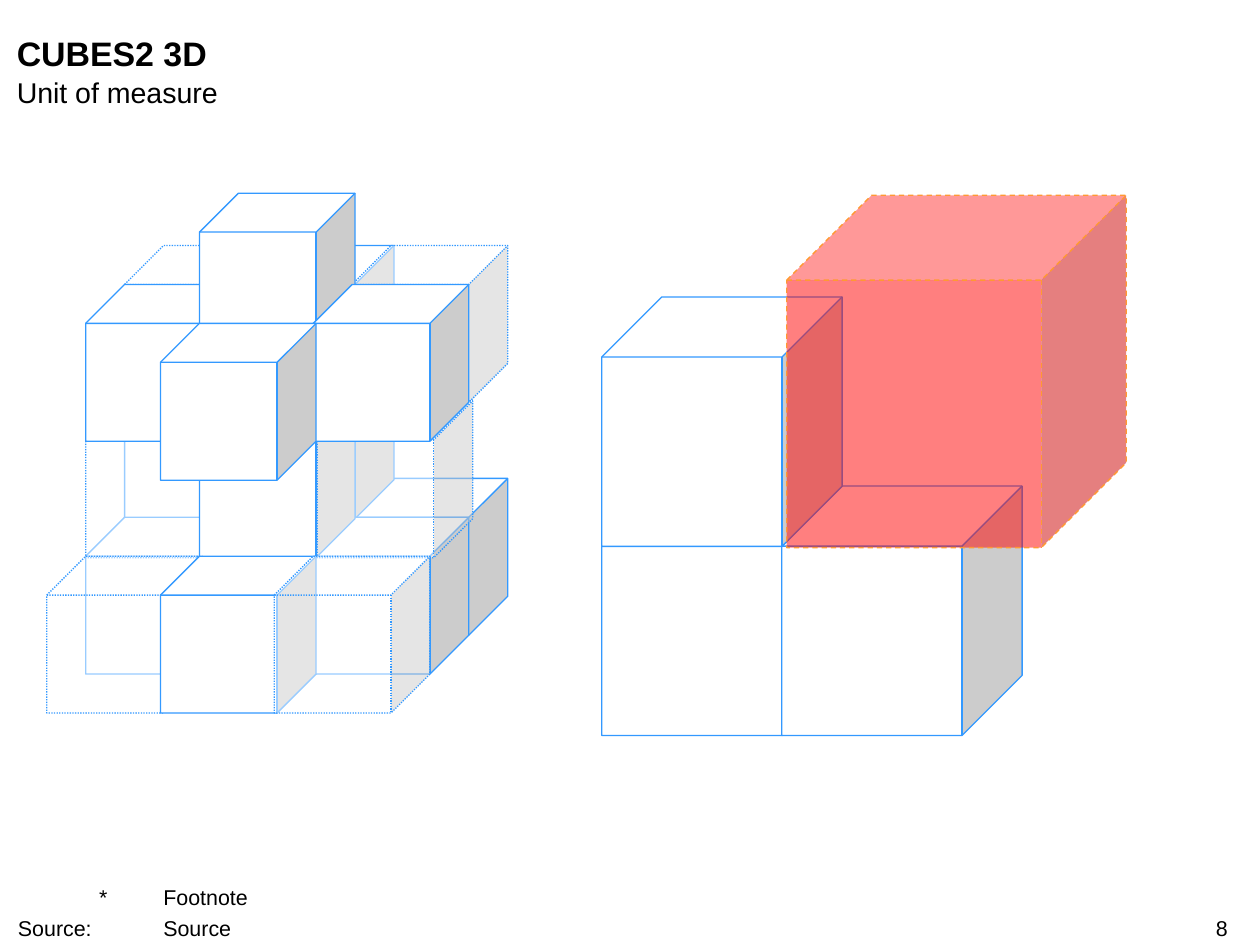
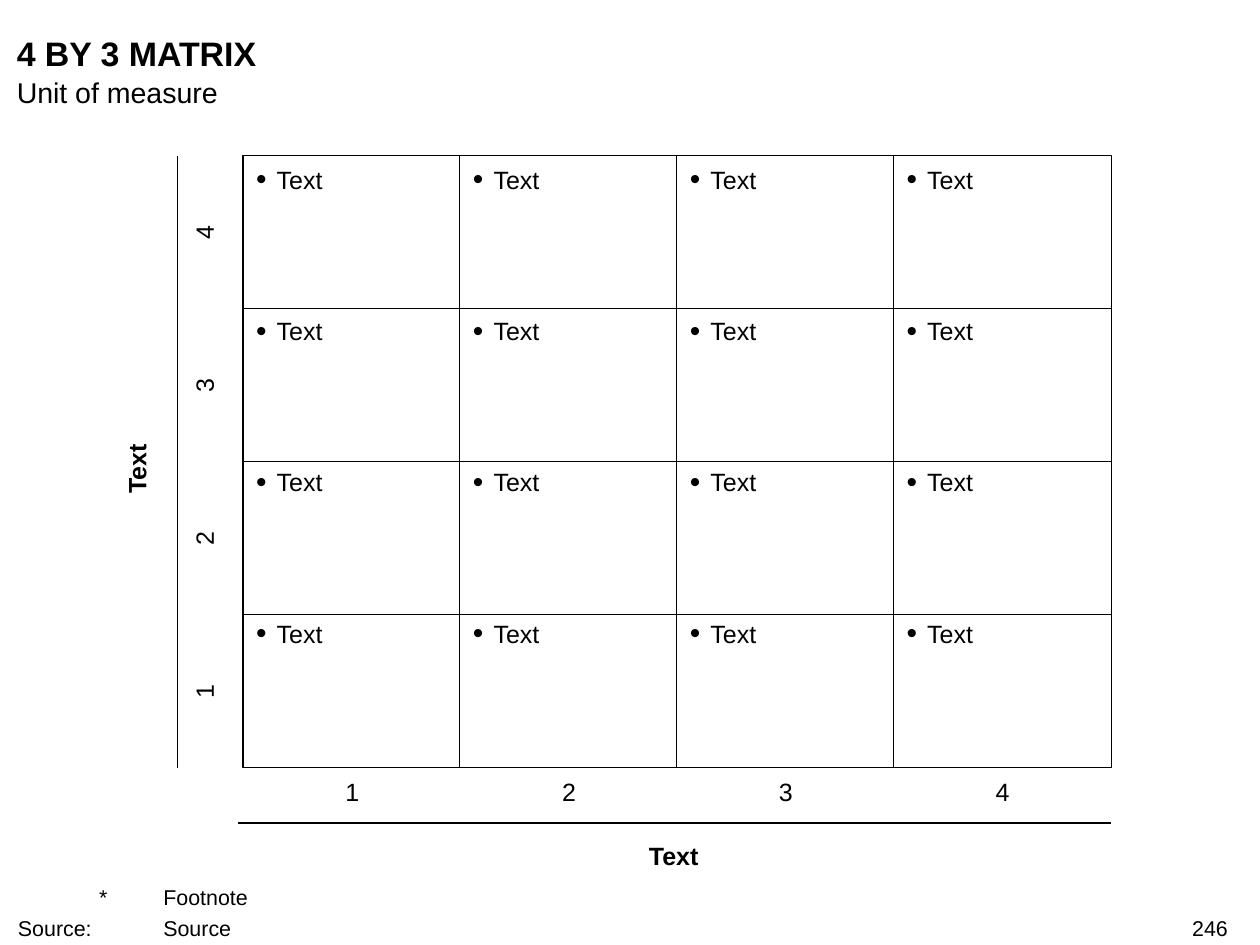
from lxml import etree
from pptx import Presentation
from pptx.dml.color import RGBColor
from pptx.enum import dml, shapes, text
from pptx.oxml import ns
from pptx.util import Pt

COLORS = {"ink": "000000", "paper": "FFFFFF", "edge": "3399FF",
          "accent": "FF0000", "accent_edge": "FF9933"}
FONT = "Arial"
SUBTITLE = "Unit of measure"
FOOTNOTES = ["\t*\tFootnote", "Source:\t\tSource"]
FOOTNOTE_TABS = [(0, "l"), (41.8, "r"), (70.6, "l"), (141.1, "l")]

SOLID = ("paper", None, "edge", None)
GHOST = ("paper", 50, "edge", dml.MSO_LINE.ROUND_DOT)
MARKED = ("accent", 50, "accent_edge", dml.MSO_LINE.DASH)
CUBE_STYLES = {"S": SOLID, "G": GHOST}

LAYERS_BACK_TO_FRONT = [
    {"bottom": "SSS", "middle": "SS.", "top": "GSG"},
    {"bottom": "SSS", "middle": "GSG", "top": "SSS"},
    {"bottom": "GSG", "top": ".S."},
]
LEVELS = ["top", "middle", "bottom"]
NUDGES = {(1, "top", 1): (0, -51.1), (1, "middle", 2): (2.2, 0)}
STACK_LEFT, STACK_TOP = 69.8, 137.5
CUBE_WIDTH, CUBE_HEIGHT = 87.1, 87.8
COLUMN_STEP, LEVEL_STEP, DEPTH_STEP = 63.7, 65.2, 21.8

CORNER_CUBES = [
    (337, 272.2, 134.6, 139.7, SOLID),
    (437.8, 272.2, 134.6, 139.7, SOLID),
    (337, 166.3, 134.6, 139.7, SOLID),
    (440.6, 109.4, 190.1, 197.3, MARKED),
]

MATRIX = [["Text"] * 4 for _ in range(4)]
COLUMN_LABELS = ["1", "2", "3", "4"]
ROW_LABELS = ["4", "3", "2", "1"]
AXIS_TITLE = "Text"
MATRIX_LEFT, MATRIX_TOP = 136.1, 87.1
CELL_WIDTH, CELL_HEIGHT = 122.4, 85.7
CELL_STEP = 121.4
LABEL_HEIGHT = 16.6
ROW_LABEL_CENTER, ROW_TITLE_CENTER = 114.1, 76.3


def rgb(name):
    return RGBColor.from_string(COLORS[name])


def add_child(parent, tag, **attributes):
    return etree.SubElement(parent, ns.qn(tag), attributes)


def style_paragraph(paragraph, size, bold=False, align=text.PP_ALIGN.LEFT):
    paragraph.alignment = align
    font = paragraph.font
    font.name, font.size, font.bold = FONT, Pt(size), bold
    font.color.rgb = rgb("ink")


def set_indent(paragraph, indent):
    properties = paragraph._p.get_or_add_pPr()
    properties.set("marL", str(Pt(indent)))
    properties.set("indent", str(-Pt(indent)))
    return properties


def set_margins(frame, left=0, top=0):
    frame.margin_left, frame.margin_top = Pt(left), Pt(top)
    frame.margin_right = frame.margin_bottom = 0
    frame.word_wrap = True


def add_text(slide, left, top, width, height, words, size, bold=False,
             align=text.PP_ALIGN.LEFT, rotation=0):
    box = slide.shapes.add_textbox(Pt(left), Pt(top), Pt(width), Pt(height))
    box.rotation = rotation
    set_margins(box.text_frame)
    paragraph = box.text_frame.paragraphs[0]
    paragraph.text = words
    style_paragraph(paragraph, size, bold, align)


def add_block(slide, kind, left, top, width, height, style):
    fill, opacity, edge, dash = style
    block = slide.shapes.add_shape(kind, Pt(left), Pt(top), Pt(width), Pt(height))
    block.shadow.inherit = False
    block.fill.solid()
    block.fill.fore_color.rgb = rgb(fill)
    if opacity:
        color = block._element.spPr.find(".//" + ns.qn("a:srgbClr"))
        add_child(color, "a:alpha", val=str(opacity * 1000))
    block.line.color.rgb = rgb(edge)
    block.line.width = Pt(0.75)
    if dash:
        block.line.dash_style = dash
    return block


def add_line(slide, x1, y1, x2, y2):
    line = slide.shapes.add_connector(
        shapes.MSO_CONNECTOR.STRAIGHT, Pt(x1), Pt(y1), Pt(x2), Pt(y2))
    line.line.color.rgb = rgb("ink")
    line.line.width = Pt(0.75)
    add_child(line._element.spPr, "a:effectLst")


def add_footnotes(slide):
    box = slide.shapes.add_textbox(Pt(10.1), Pt(495.4), Pt(643), Pt(31.7))
    frame = box.text_frame
    set_margins(frame)
    frame.vertical_anchor = text.MSO_ANCHOR.BOTTOM
    for index, words in enumerate(FOOTNOTES):
        paragraph = frame.add_paragraph() if index else frame.paragraphs[0]
        paragraph.text = words
        tabs = add_child(set_indent(paragraph, 45.4), "a:tabLst")
        for position, align in FOOTNOTE_TABS:
            add_child(tabs, "a:tab", pos=str(Pt(position)), algn=align)
        if index:
            paragraph.space_before = Pt(3)
        style_paragraph(paragraph, 12)


def add_page(deck, title, number):
    slide = deck.slides.add_slide(deck.slide_layouts[6])
    add_text(slide, 9.4, 18, 679, 23, title, 19, bold=True)
    add_text(slide, 9.4, 41.8, 679, 19.4, SUBTITLE, 16)
    add_footnotes(slide)
    add_text(slide, 540.7, 512.6, 146.9, 14.4, number, 12,
             align=text.PP_ALIGN.RIGHT)
    return slide


def draw_cubes(slide):
    cube = shapes.MSO_SHAPE.CUBE
    for depth, layer in enumerate(LAYERS_BACK_TO_FRONT):
        for level, row in layer.items():
            for column, mark in enumerate(row):
                if mark == ".":
                    continue
                dx, dy = NUDGES.get((depth, level, column), (0, 0))
                left = STACK_LEFT + column * COLUMN_STEP - depth * DEPTH_STEP + dx
                top = (STACK_TOP + LEVELS.index(level) * LEVEL_STEP
                       + depth * DEPTH_STEP + dy)
                add_block(slide, cube, left, top, CUBE_WIDTH, CUBE_HEIGHT,
                          CUBE_STYLES[mark])
    for *place, style in CORNER_CUBES:
        add_block(slide, cube, *place, style)


def add_cell(slide, row, column, words):
    cell = add_block(slide, shapes.MSO_SHAPE.RECTANGLE,
                     MATRIX_LEFT + column * CELL_STEP,
                     MATRIX_TOP + row * CELL_HEIGHT,
                     CELL_WIDTH, CELL_HEIGHT, ("paper", None, "ink", None))
    frame = cell.text_frame
    set_margins(frame, left=7.4, top=5 - row)
    frame.vertical_anchor = text.MSO_ANCHOR.TOP
    paragraph = frame.paragraphs[0]
    paragraph.text = words
    properties = set_indent(paragraph, 11.5)
    add_child(add_child(properties, "a:buClr"), "a:srgbClr", val=COLORS["ink"])
    add_child(properties, "a:buSzPct", val="120000")
    add_child(properties, "a:buFont", typeface=FONT)
    add_child(properties, "a:buChar", char="•")
    style_paragraph(paragraph, 14)


def add_label(slide, center, middle, width, words, bold=False, rotation=0):
    add_text(slide, center - width / 2, middle - LABEL_HEIGHT / 2, width,
             LABEL_HEIGHT, words, 14, bold, text.PP_ALIGN.CENTER, rotation)


def draw_matrix(slide):
    for row, entries in enumerate(MATRIX):
        for column, words in enumerate(entries):
            add_cell(slide, row, column, words)
    for column, words in enumerate(COLUMN_LABELS):
        center = MATRIX_LEFT + column * CELL_STEP + CELL_WIDTH / 2
        add_label(slide, center, 443.2, 100, words)
    for row, words in enumerate(ROW_LABELS):
        middle = MATRIX_TOP + (row + 0.5) * CELL_HEIGHT
        add_label(slide, ROW_LABEL_CENTER, middle, 77, words, rotation=270)
    bottom = MATRIX_TOP + len(MATRIX) * CELL_HEIGHT
    add_line(slide, 133.2, 460.8, 622.1, 460.8)
    add_line(slide, 99.4, MATRIX_TOP, 99.4, bottom)
    add_label(slide, 377.3, 479.2, 486.7, AXIS_TITLE, bold=True)
    add_label(slide, ROW_TITLE_CENTER, 262.4, 334, AXIS_TITLE, bold=True,
              rotation=270)


def main():
    deck = Presentation()
    deck.slide_width, deck.slide_height = Pt(705.6), Pt(529.2)
    draw_cubes(add_page(deck, "CUBES2 3D", "8"))
    draw_matrix(add_page(deck, "4 BY 3 MATRIX", "246"))
    deck.save("out.pptx")


if __name__ == "__main__":
    main()
